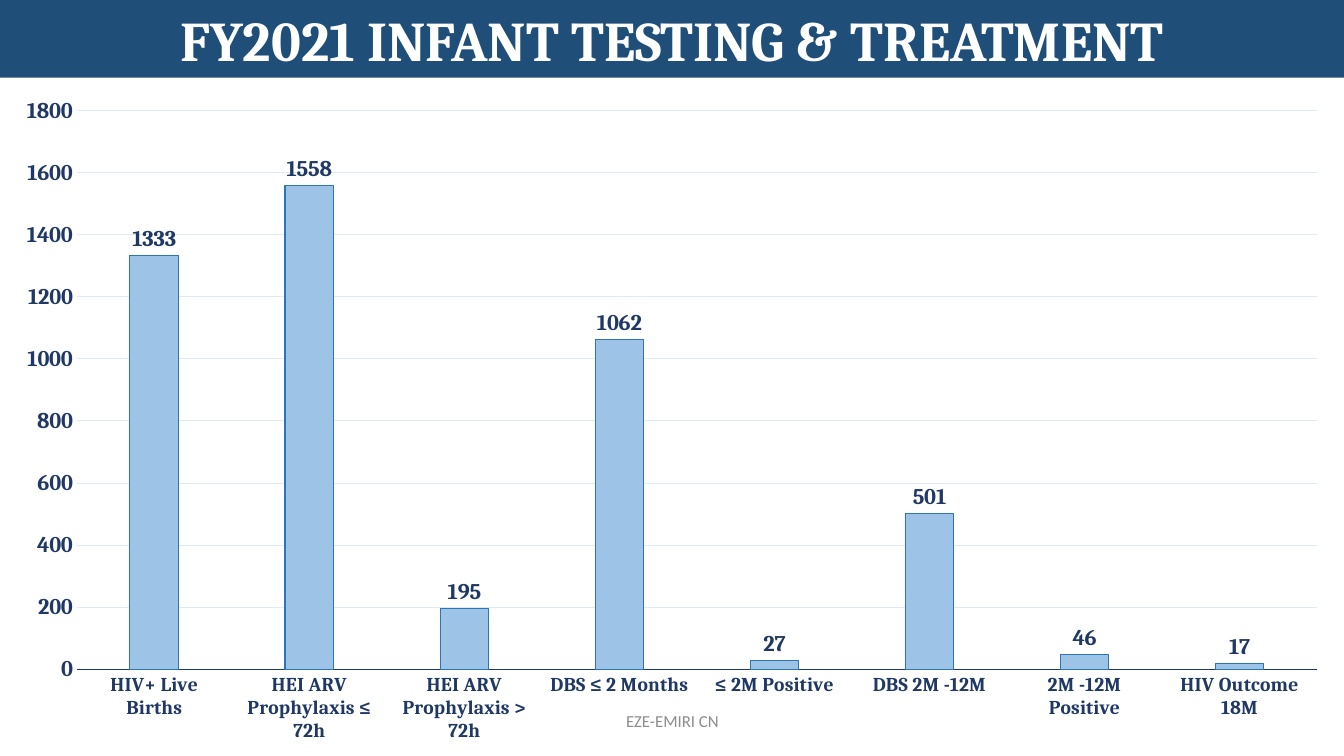
from pptx import Presentation
from pptx.chart.data import CategoryChartData
from pptx.dml.color import RGBColor
from pptx.enum import chart as ch, text
from pptx.util import Inches, Pt

NAVY = RGBColor(0x20, 0x38, 0x64)
BANNER = RGBColor(0x1F, 0x4E, 0x79)
BAR_FILL = RGBColor(0x9D, 0xC3, 0xE6)
BAR_LINE = RGBColor(0x2E, 0x75, 0xB6)
GRID = RGBColor(0xDE, 0xEB, 0xF7)
GREY = RGBColor(0x8C, 0x8C, 0x8C)
WHITE = RGBColor(0xFF, 0xFF, 0xFF)


def set_font(font, size, color, name="Cambria", bold=True):
    for key, value in {"size": Pt(size), "name": name, "bold": bold}.items():
        setattr(font, key, value)
    font.color.rgb = color


def set_line(line, color):
    line.color.rgb = color
    line.width = Pt(0.75)


prs = Presentation()
prs.slide_width, prs.slide_height = Inches(13.33), Inches(7.5)
s = prs.slides.add_slide(prs.slide_layouts[5])

# Title banner
title = s.shapes.title
title.left, title.top, title.width, title.height = (
    Inches(v) for v in (0, 0, 13.33, 0.77))
title.fill.solid()
title.fill.fore_color.rgb = BANNER
tf = title.text_frame
tf.word_wrap = True
tf.auto_size = text.MSO_AUTO_SIZE.NONE
tf.vertical_anchor = text.MSO_ANCHOR.MIDDLE
p = tf.paragraphs[0]
p.alignment = text.PP_ALIGN.CENTER
r = p.add_run()
r.text = "FY2021 INFANT TESTING & TREATMENT"
set_font(r.font, 40, WHITE)

# Column chart
results = {
    "HIV+ Live Births": 1333,
    "HEI ARV Prophylaxis ≤ 72h": 1558,
    "HEI ARV Prophylaxis > 72h": 195,
    "DBS ≤ 2 Months": 1062,
    "≤ 2M Positive": 27,
    "DBS 2M -12M": 501,
    "2M -12M Positive": 46,
    "HIV Outcome 18M": 17,
}
data = CategoryChartData()
data.categories = list(results)
data.add_series("Series 1", list(results.values()))
chart = s.shapes.add_chart(
    ch.XL_CHART_TYPE.COLUMN_CLUSTERED,
    Inches(0), Inches(0.84), Inches(13.33), Inches(6.66), data).chart
chart.has_legend = False
chart.has_title = False
chart.font.name = "Calibri"
chart.font.size = Pt(10)

cat_axis, val_axis = chart.category_axis, chart.value_axis
for axis, size in ((cat_axis, 14), (val_axis, 16)):
    axis.major_tick_mark = axis.minor_tick_mark = ch.XL_TICK_MARK.NONE
    set_font(axis.tick_labels.font, size, NAVY)
set_line(cat_axis.format.line, NAVY)
val_axis.format.line.fill.background()
val_axis.minimum_scale, val_axis.maximum_scale, val_axis.major_unit = 0, 1800, 200
set_line(val_axis.major_gridlines.format.line, GRID)

plot = chart.plots[0]
plot.gap_width, plot.overlap, plot.vary_by_categories = 219, -27, False
bars = plot.series[0]
bars.format.fill.solid()
bars.format.fill.fore_color.rgb = BAR_FILL
set_line(bars.format.line, BAR_LINE)
labels = bars.data_labels
labels.show_value = True
labels.position = ch.XL_LABEL_POSITION.OUTSIDE_END
set_font(labels.font, 16, NAVY)

# Footer
footer = s.shapes.add_textbox(Inches(4.42), Inches(6.95), Inches(4.5), Inches(0.4))
tf = footer.text_frame
tf.word_wrap = True
tf.vertical_anchor = text.MSO_ANCHOR.MIDDLE
p = tf.paragraphs[0]
p.alignment = text.PP_ALIGN.CENTER
r = p.add_run()
r.text = "EZE-EMIRI CN"
set_font(r.font, 12, GREY, "Calibri", False)

prs.save("out.pptx")
